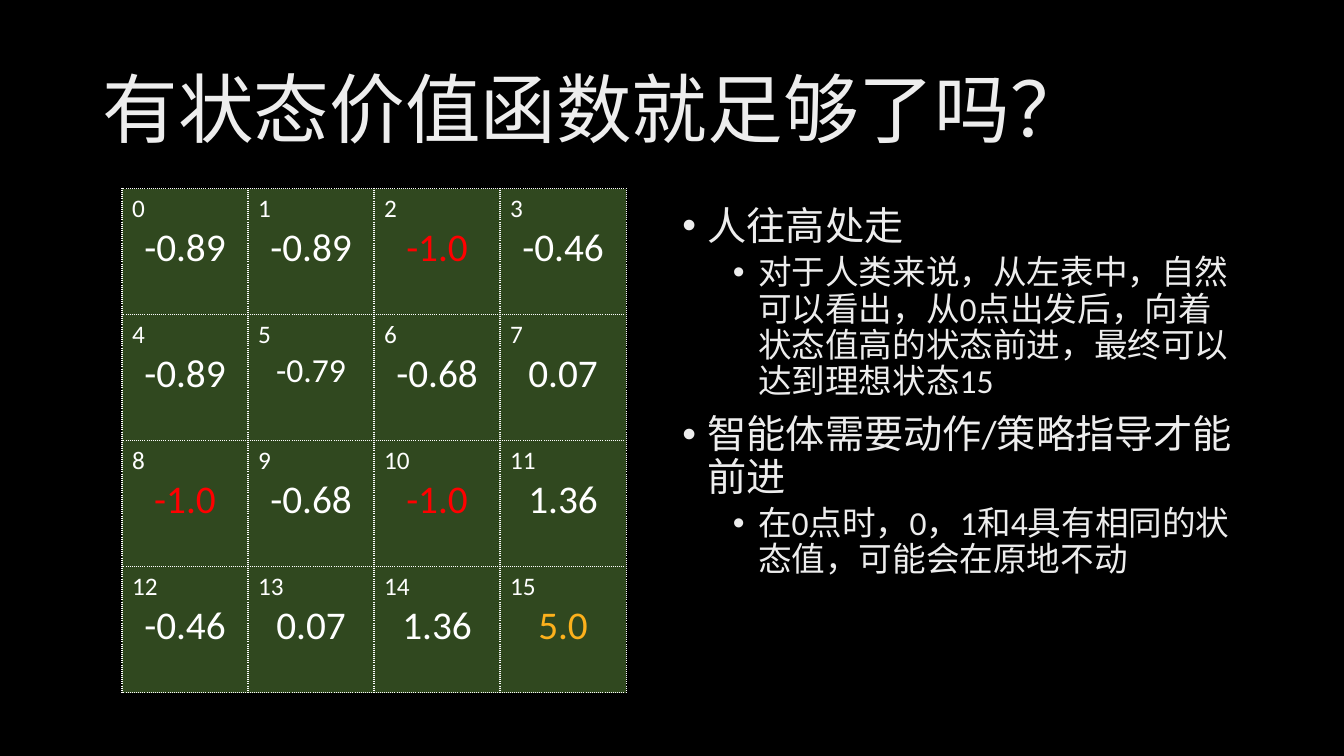
from dataclasses import dataclass

from lxml.etree import SubElement
from pptx import Presentation
from pptx.dml.color import RGBColor
from pptx.enum.text import MSO_ANCHOR as Anchor, PP_ALIGN as Align
from pptx.oxml import parse_xml
from pptx.oxml.ns import nsdecls, qn
from pptx.util import Inches, Pt


@dataclass(frozen=True)
class Theme:
    font: str = "Calibri"
    background: str = "000000"
    cell: str = "30481F"
    white: str = "FFFFFF"
    trap: str = "FF0000"
    goal: str = "FCB11C"
    shade_start: str = "BFBFBF"
    shade_middle: str = "EDEDED"
    title_size: int = 54
    topic_size: int = 28
    detail_size: int = 24
    index_size: int = 18
    value_size: int = 28
    small_value_size: int = 24


THEME = Theme()


@dataclass(frozen=True)
class Bullet:
    text: str
    level: int = 0


@dataclass(frozen=True)
class State:
    value: str
    color: str = THEME.white
    size: int = THEME.value_size


TITLE = "有状态价值函数就足够了吗？"
BULLETS = [
    Bullet("人往高处走"),
    Bullet("对于人类来说，从左表中，自然可以看出，从0点出发后，"
           "向着状态值高的状态前进，最终可以达到理想状态15", 1),
    Bullet("智能体需要动作/策略指导才能前进"),
    Bullet("在0点时，0，1和4具有相同的状态值，可能会在原地不动", 1),
]
TRAP = State("-1.0", THEME.trap)
STATES = [
    State("-0.89"), State("-0.89"), TRAP, State("-0.46"),
    State("-0.89"), State("-0.79", size=THEME.small_value_size), State("-0.68"), State("0.07"),
    TRAP, State("-0.68"), TRAP, State("1.36"),
    State("-0.46"), State("0.07"), State("1.36"), State("5.0", THEME.goal),
]
GRID_SIDE = 4
CELL_SIDE = 1.25


def write(para, text: str, *, size: int, color: str = THEME.white,
          middle_stop: int | None = None, align: Align = Align.LEFT) -> None:
    """Add a run; middle_stop, in percent, gives it the grey-to-white gradient."""
    para.alignment = align
    span = para.add_run()
    span.text = text
    span.font.size = Pt(size)
    span.font.name = THEME.font
    if middle_stop is None:
        span.font.color.rgb = RGBColor.from_string(color)
        return
    stops = [(0, THEME.shade_start), (middle_stop, THEME.shade_middle), (100, THEME.white)]
    stop_xml = "".join(f'<a:gs pos="{place * 1000}"><a:srgbClr val="{shade}"/></a:gs>'
                       for place, shade in stops)
    gradient = parse_xml(f'<a:gradFill {nsdecls("a")}><a:gsLst>{stop_xml}</a:gsLst>'
                         '<a:lin ang="4800000" scaled="0"/></a:gradFill>')
    span._r.get_or_add_rPr().insert(0, gradient)


def add_frame(page, left: float, top: float, width: float, height: float, anchor: Anchor):
    box = page.shapes.add_textbox(Inches(left), Inches(top), Inches(width), Inches(height))
    frame = box.text_frame
    frame.word_wrap = True
    frame.vertical_anchor = anchor
    return frame


def add_title(page) -> None:
    para = add_frame(page, 0.92, 0.4, 11.5, 1.45, Anchor.MIDDLE).paragraphs[0]
    para.line_spacing = 0.9
    write(para, TITLE, size=THEME.title_size, middle_stop=28)


def add_bullets(page) -> None:
    frame = add_frame(page, 6.67, 2, 5.75, 4.76, Anchor.TOP)
    for number, bullet in enumerate(BULLETS):
        para = frame.add_paragraph() if number else frame.paragraphs[0]
        props = para._p.get_or_add_pPr()
        props.set("marL", str(Inches(0.25 + 0.5 * bullet.level)))
        props.set("indent", str(Inches(-0.25)))
        SubElement(props, qn("a:buFont")).set("typeface", "Arial")
        SubElement(props, qn("a:buChar")).set("char", "•")
        para.level = bullet.level
        para.line_spacing = 0.9
        if number:
            para.space_before = Pt(5 if bullet.level else 10)
        size = THEME.detail_size if bullet.level else THEME.topic_size
        write(para, bullet.text, size=size, middle_stop=34)


def add_dotted_borders(cell) -> None:
    props = cell._tc.get_or_add_tcPr()
    for place, side in enumerate("LRTB"):
        props.insert(place, parse_xml(
            f'<a:ln{side} {nsdecls("a")} w="{Pt(1)}"><a:solidFill>'
            f'<a:srgbClr val="{THEME.white}"/></a:solidFill>'
            f'<a:prstDash val="sysDot"/></a:ln{side}>'))


def add_state_grid(page) -> None:
    side = Inches(GRID_SIDE * CELL_SIDE)
    table = page.shapes.add_table(GRID_SIDE, GRID_SIDE, Inches(1.21), Inches(1.87),
                                  side, side).table
    table.first_row = table.horz_banding = False
    for index, state in enumerate(STATES):
        cell = table.cell(*divmod(index, GRID_SIDE))
        cell.fill.solid()
        cell.fill.fore_color.rgb = RGBColor.from_string(THEME.cell)
        add_dotted_borders(cell)
        frame = cell.text_frame
        write(frame.paragraphs[0], str(index), size=THEME.index_size)
        write(frame.add_paragraph(), state.value, size=state.size,
              color=state.color, align=Align.CENTER)


def main() -> None:
    deck = Presentation()
    deck.slide_width, deck.slide_height = Inches(13.33), Inches(7.5)
    page = deck.slides.add_slide(deck.slide_layouts[6])
    page.background.fill.solid()
    page.background.fill.fore_color.rgb = RGBColor.from_string(THEME.background)
    add_title(page)
    add_bullets(page)
    add_state_grid(page)
    deck.save("out.pptx")


if __name__ == "__main__":
    main()
